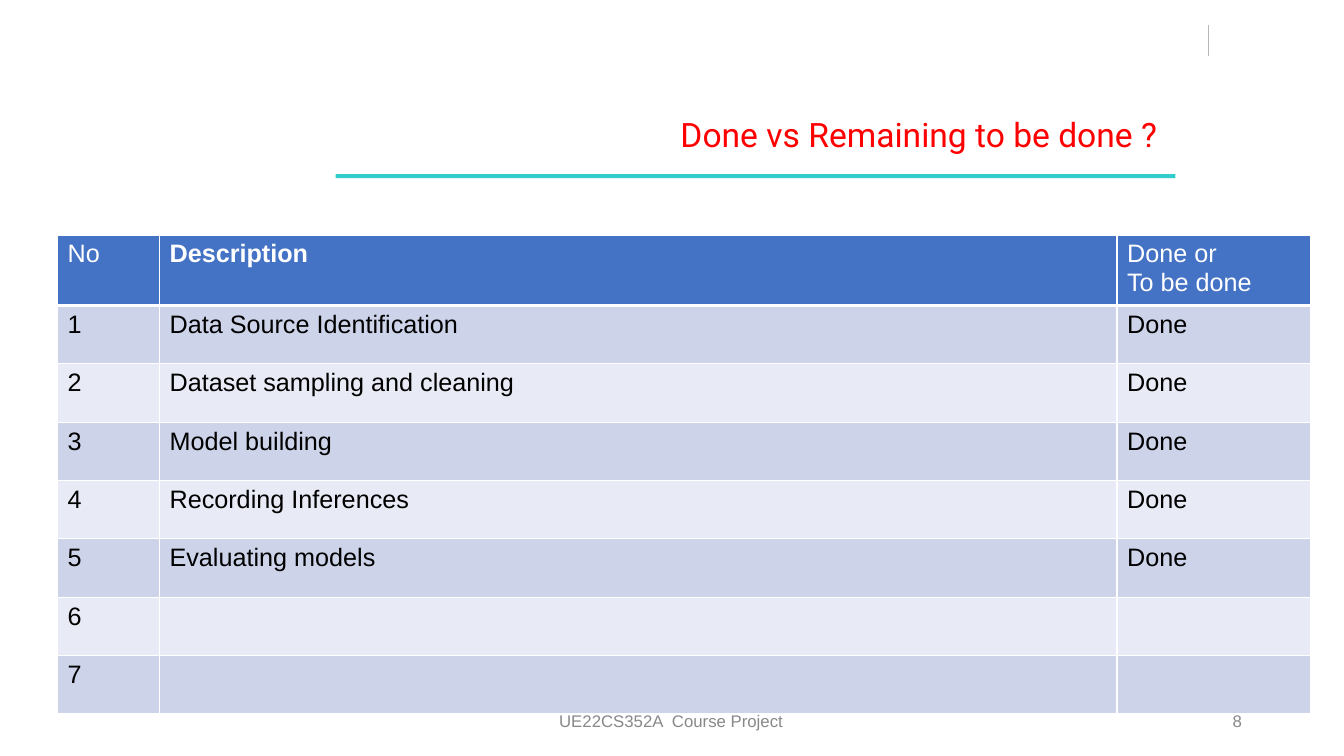
from lxml.etree import SubElement
from pptx import Presentation
from pptx.dml.color import RGBColor
from pptx.enum.shapes import MSO_CONNECTOR as Connector, MSO_SHAPE as Shape
from pptx.enum.text import MSO_ANCHOR as Anchor, PP_ALIGN as Align
from pptx.oxml import parse_xml
from pptx.oxml.ns import nsdecls, qn
from pptx.util import Cm, Pt

TITLE = "Done vs Remaining to be done ?"
PAGE_NUMBER = "8"
FOOTER = "UE22CS352A  Course Project"
HEADER = ("No", "Description", "Done or\nTo be done")
TASKS = [
    ("1", "Data Source Identification", "Done"),
    ("2", "Dataset sampling and cleaning", "Done"),
    ("3", "Model building", "Done"),
    ("4", "Recording Inferences", "Done"),
    ("5", "Evaluating models", "Done"),
    ("6", "", ""),
    ("7", "", ""),
]
COLUMN_WIDTHS = (2.57, 24.13, 4.88)
ROW_HEIGHT = 1.47
COLORS = {
    "title": "FF0000",
    "underline": "33CCCC",
    "divider": "B7B7B7",
    "footer": "888888",
    "header": "4472C4",
    "odd": "CDD4EA",
    "even": "E8EBF5",
    "white": "FFFFFF",
    "black": "000000",
}


def color(name):
    return RGBColor.from_string(COLORS[name])


def write(frame, text, size=18, ink="black", font="Arial", bold=False, align=Align.LEFT):
    frame.word_wrap = True
    for index, line in enumerate(text.split("\n")):
        paragraph = frame.add_paragraph() if index else frame.paragraphs[0]
        paragraph.alignment = align
        paragraph.font.size = Pt(size)
        if line:
            run = paragraph.add_run()
            run.text = line
            run.font.size = Pt(size)
            run.font.name = font
            run.font.bold = bold
            run.font.color.rgb = color(ink)


def add_text(box, text, anchor=Anchor.MIDDLE, right_inset=0.25, **style):
    frame = slide.shapes.add_textbox(*map(Cm, box)).text_frame
    frame.vertical_anchor = anchor
    frame.margin_right = Cm(right_inset)
    write(frame, text, **style)


def add_borders(cell, top, bottom):
    properties = cell._tc.get_or_add_tcPr()
    widths = {"lnL": 1, "lnR": 1, "lnT": top, "lnB": bottom}
    for index, (side, width) in enumerate(widths.items()):
        properties.insert(index, parse_xml(
            f'<a:{side} {nsdecls("a")} w="{Pt(width)}"><a:solidFill>'
            f'<a:srgbClr val="{COLORS["white"]}"/></a:solidFill></a:{side}>'))


def add_task_table():
    rows = [HEADER, *TASKS]
    table = slide.shapes.add_table(
        len(rows), len(HEADER), Cm(1.45), Cm(5.92),
        Cm(sum(COLUMN_WIDTHS)), Cm(ROW_HEIGHT * len(rows))).table
    table.first_row = True
    table.horz_banding = False
    for column, width in zip(table.columns, COLUMN_WIDTHS):
        column.width = Cm(width)
    for row_index, row in enumerate(rows):
        table.rows[row_index].height = Cm(ROW_HEIGHT)
        is_header = row_index == 0
        band = "header" if is_header else "odd" if row_index % 2 else "even"
        for column_index, text in enumerate(row):
            cell = table.cell(row_index, column_index)
            cell.fill.solid()
            cell.fill.fore_color.rgb = color(band)
            add_borders(cell, 3 if row_index == 1 else 1, 3 if is_header else 1)
            write(cell.text_frame, text, ink="white" if is_header else "black",
                  bold=text == "Description")


deck = Presentation()
deck.slide_width, deck.slide_height = Cm(33.87), Cm(19.05)
slide = deck.slides.add_slide(deck.slide_layouts[6])

divider = slide.shapes.add_connector(
    Connector.STRAIGHT, Cm(30.45), Cm(0.64), Cm(30.45), Cm(1.4))
divider.line.color.rgb = color("divider")
divider.line.width = Pt(0.75)
SubElement(divider._element.spPr, qn("a:effectLst"))

underline = slide.shapes.add_shape(Shape.RECTANGLE, Cm(8.46), Cm(4.39), Cm(21.16), Cm(0.1))
underline.shadow.inherit = False
underline.fill.solid()
underline.fill.fore_color.rgb = color("underline")
underline.line.fill.background()

add_text((8.05, 2.74, 21.79, 1.27), TITLE, anchor=Anchor.TOP, right_inset=0.68,
         size=24, ink="title", font="Roboto", align=Align.RIGHT)
add_text((23.93, 17.65, 7.62, 1.02), PAGE_NUMBER, size=12, ink="footer", align=Align.RIGHT)
add_task_table()
add_text((11.2, 17.65, 11.43, 1.02), FOOTER, size=12, ink="footer", align=Align.CENTER)

deck.save("out.pptx")
